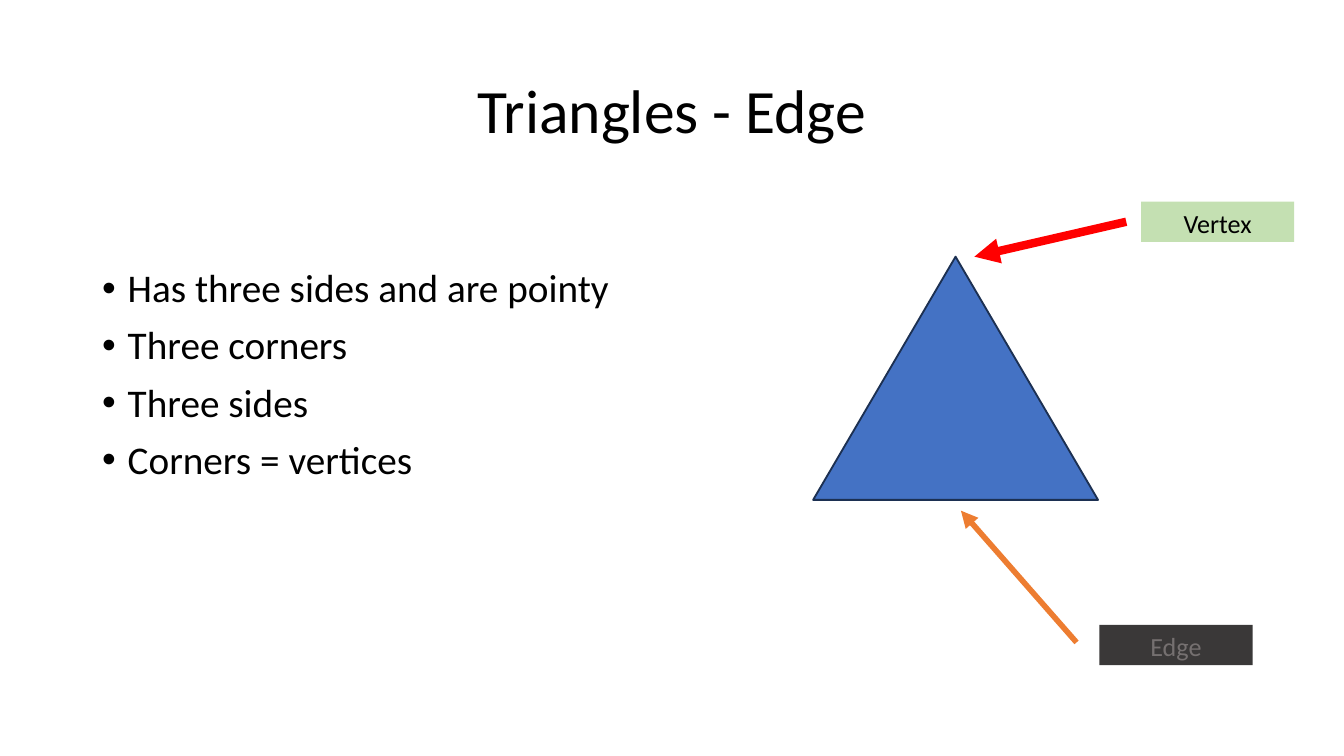
from dataclasses import dataclass

from lxml import etree
from pptx import Presentation
from pptx.dml.color import RGBColor
from pptx.enum import shapes, text
from pptx.oxml import ns
from pptx.util import Inches, Pt


@dataclass(frozen=True)
class Theme:
    font: str = "Calibri"
    title: int = 33
    body: int = 21
    label: int = 14
    ink: str = "000000"
    triangle: str = "4472C4"
    outline: str = "1C3052"
    vertex_fill: str = "C4E0B2"
    vertex_arrow: str = "FF0000"
    edge_fill: str = "3A3838"
    edge_text: str = "757070"
    edge_arrow: str = "ED7D31"


theme = Theme()


def set_margins(tf, top=0.04):
    tf.word_wrap = True
    tf.auto_size = text.MSO_AUTO_SIZE.NONE
    tf.margin_left = tf.margin_right = Inches(0.07)
    tf.margin_top, tf.margin_bottom = Inches(top), Inches(0.04)


def add_run(p, wording, size, color):
    r = p.add_run()
    r.text = wording
    r.font.name = theme.font
    r.font.size = Pt(size)
    r.font.color.rgb = RGBColor.from_string(color)


prs = Presentation()
prs.slide_width, prs.slide_height = Inches(10), Inches(10 * 9 / 16)
s = prs.slides.add_slide(prs.slide_layouts[1])

# Title
title = s.shapes.title
title.left, title.top = Inches(0.69), Inches(0.3)
title.width, title.height = Inches(8.62), Inches(1.09)
tf = title.text_frame
set_margins(tf)
tf.vertical_anchor = text.MSO_ANCHOR.MIDDLE
p = tf.paragraphs[0]
p.alignment = text.PP_ALIGN.CENTER
p.line_spacing = 0.9
add_run(p, "Triangles - Edge", theme.title, theme.ink)

# Bulleted list, with a deeper top margin below the title
body = s.placeholders[1]
body.left, body.top = Inches(0.69), Inches(1.5)
body.width, body.height = Inches(8.62), Inches(3.57)
tf = body.text_frame
set_margins(tf, top=0.5)
tf.vertical_anchor = text.MSO_ANCHOR.TOP
facts = ["Has three sides and are pointy", "Three corners", "Three sides", "Corners = vertices"]
for i, fact in enumerate(facts):
    p = tf.add_paragraph() if i else tf.paragraphs[0]
    p.line_spacing = 0.9
    p.space_before = Pt(8)
    pPr = p._p.get_or_add_pPr()
    pPr.set("marL", str(Inches(0.19)))
    pPr.set("indent", str(Inches(-0.19)))
    etree.SubElement(pPr, ns.qn("a:buFont")).set("typeface", "Arial")
    etree.SubElement(pPr, ns.qn("a:buChar")).set("char", "•")
    add_run(p, fact, theme.body, theme.ink)

# Triangle
triangle = s.shapes.add_shape(
    shapes.MSO_SHAPE.ISOSCELES_TRIANGLE, Inches(6.05), Inches(1.91), Inches(2.12), Inches(1.81)
)
triangle.shadow.inherit = False
triangle.fill.solid()
triangle.fill.fore_color.rgb = RGBColor.from_string(theme.triangle)
triangle.line.color.rgb = RGBColor.from_string(theme.outline)
triangle.line.width = Pt(1)

# Labels, each with an arrow to the part it names
callouts = [
    ("Edge", (8.18, 4.65), theme.edge_fill, theme.edge_text,
     (8.01, 4.78, 7.15, 3.8), theme.edge_arrow, 3),
    ("Vertex", (8.49, 1.5), theme.vertex_fill, theme.ink,
     (8.38, 1.65, 7.25, 1.91), theme.vertex_arrow, 4.5),
]
for wording, (left, top), fill, ink, ends, arrow_color, weight in callouts:
    arrow = s.shapes.add_connector(shapes.MSO_CONNECTOR.STRAIGHT, *map(Inches, ends))
    arrow.line.color.rgb = RGBColor.from_string(arrow_color)
    arrow.line.width = Pt(weight)
    etree.SubElement(arrow.line._get_or_add_ln(), ns.qn("a:tailEnd")).set("type", "triangle")
    etree.SubElement(arrow._element.spPr, ns.qn("a:effectLst"))

    label = s.shapes.add_shape(
        shapes.MSO_SHAPE.RECTANGLE, Inches(left), Inches(top), Inches(1.14), Inches(0.3)
    )
    label.shadow.inherit = False
    label.fill.solid()
    label.fill.fore_color.rgb = RGBColor.from_string(fill)
    label.line.fill.background()
    tf = label.text_frame
    set_margins(tf)
    tf.vertical_anchor = text.MSO_ANCHOR.TOP
    p = tf.paragraphs[0]
    p.alignment = text.PP_ALIGN.CENTER
    add_run(p, wording, theme.label, ink)

prs.save("out.pptx")
